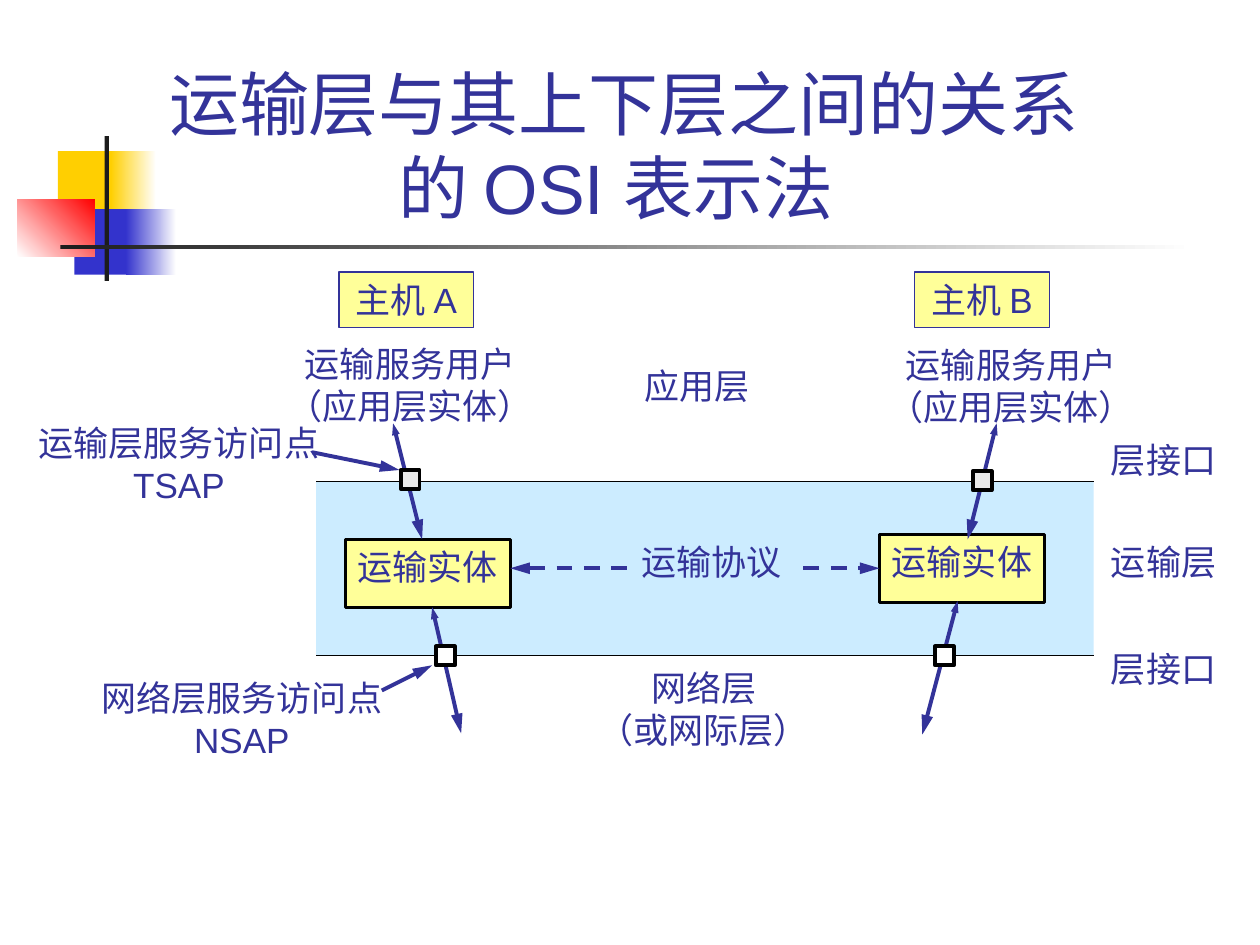
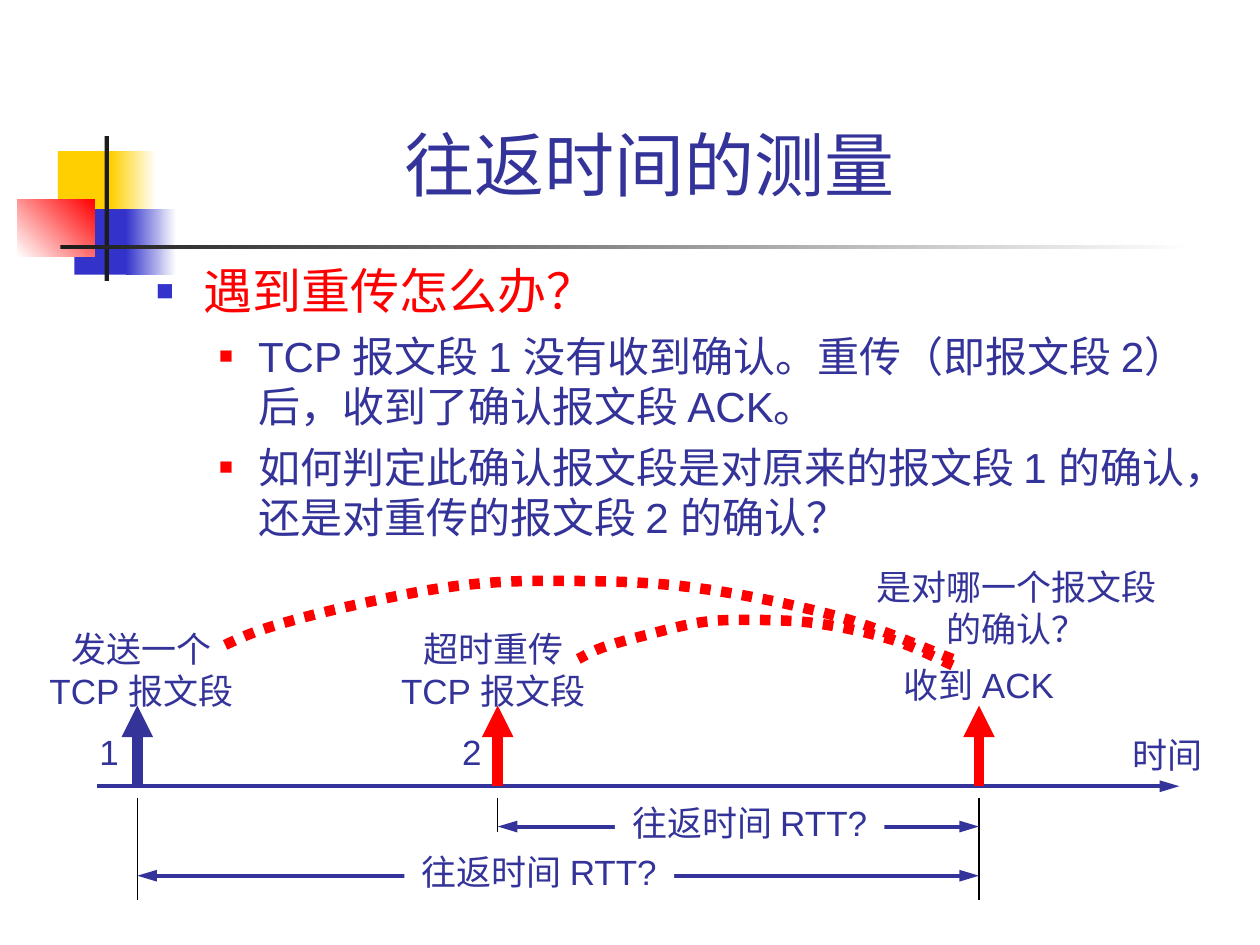
from dataclasses import dataclass
from typing import Optional

from lxml.etree import SubElement
from pptx import Presentation
from pptx.dml.color import RGBColor
from pptx.enum.dml import MSO_LINE
from pptx.enum.shapes import MSO_CONNECTOR, MSO_SHAPE
from pptx.enum.text import MSO_ANCHOR, PP_ALIGN
from pptx.oxml.ns import qn
from pptx.util import Inches, Pt

# Shared look
FONT = "Arial"
INK = RGBColor(0x33, 0x33, 0x99)
BLUE = RGBColor(0x33, 0x33, 0xCC)
RED = RGBColor(0xFF, 0x00, 0x00)
GOLD = RGBColor(0xFF, 0xCF, 0x01)
COAL = RGBColor(0x1C, 0x1C, 0x1C)
BLACK = RGBColor(0x00, 0x00, 0x00)
WHITE = RGBColor(0xFF, 0xFF, 0xFF)
SKY = RGBColor(0xCC, 0xEC, 0xFF)
LEMON = RGBColor(0xFF, 0xFF, 0x99)
GREY = RGBColor(0xEA, 0xEA, 0xEA)

# Grid: 100 columns by 75 rows of square cells
WIDTH, HEIGHT = Inches(10), Inches(7.5)
COLS, ROWS = 100, 75

# Arrowheads as (width, length)
LONG = ("med", "lg")
SMALL = ("sm", "med")
EVEN = ("med", "med")


def col(n: float) -> int:
    return round(WIDTH * n / COLS)


def row(n: float) -> int:
    return round(HEIGHT * n / ROWS)


@dataclass(frozen=True)
class Box:
    x: float
    y: float
    w: float
    h: float
    text: str = ""
    fill: Optional[RGBColor] = None
    fade: Optional[RGBColor] = None
    angle: int = 0
    edge: Optional[RGBColor] = None
    thick: float = 0.75
    size: int = 20
    anchor: MSO_ANCHOR = MSO_ANCHOR.TOP
    wrap: bool = False


@dataclass(frozen=True)
class Line:
    x1: float
    y1: float
    x2: float
    y2: float
    color: RGBColor = INK
    thick: float = 2.25
    head: Optional[tuple] = None
    tail: Optional[tuple] = None
    dash: Optional[MSO_LINE] = None


def style(font, size: int, color: RGBColor) -> None:
    font.name = FONT
    font.size = Pt(size)
    font.color.rgb = color


def draw_box(slide, box: Box) -> None:
    area = col(box.x), row(box.y), col(box.w), row(box.h)
    if box.fill is None:
        shape = slide.shapes.add_textbox(*area)
    else:
        shape = slide.shapes.add_shape(MSO_SHAPE.RECTANGLE, *area)
        shape.shadow.inherit = False
        if box.fade is None:
            shape.fill.solid()
            shape.fill.fore_color.rgb = box.fill
        else:
            shape.fill.gradient()
            shape.fill.gradient_angle = box.angle
            for stop, color in zip(shape.fill.gradient_stops, (box.fill, box.fade)):
                stop.color.rgb = color
        if box.edge is None:
            shape.line.fill.background()
        else:
            shape.line.color.rgb = box.edge
            shape.line.width = Pt(box.thick)
    if box.text:
        frame = shape.text_frame
        frame.text = box.text
        frame.word_wrap = box.wrap
        frame.vertical_anchor = box.anchor
        if not box.wrap:  # the full width keeps each label on its line
            frame.margin_left = frame.margin_right = 0
        for para in frame.paragraphs:
            para.alignment = PP_ALIGN.CENTER
            for run in para.runs:
                style(run.font, box.size, INK)


def draw_line(slide, line: Line) -> None:
    link = slide.shapes.add_connector(
        MSO_CONNECTOR.STRAIGHT, col(line.x1), row(line.y1), col(line.x2), row(line.y2))
    link.line.color.rgb = line.color
    link.line.width = Pt(line.thick)
    if line.dash is not None:
        link.line.dash_style = line.dash
    props = link.element.spPr
    stroke = props.find(qn("a:ln"))
    for tag, tip in (("a:headEnd", line.head), ("a:tailEnd", line.tail)):
        if tip:
            SubElement(stroke, qn(tag), type="triangle", w=tip[0], len=tip[1])
    SubElement(props, qn("a:effectLst"))


def draw_note(slide, x: float, y: float, w: float, text: str,
              fill: Optional[RGBColor] = None, edge: Optional[RGBColor] = None) -> None:
    """Label whose height follows from its count of lines."""
    high = 1.1 + 3.3 * len(text.split("\n"))
    draw_box(slide, Box(x, y, w, high, text, fill, edge=edge))


def draw_curve(slide, knots: list[tuple[float, float]], steps: int = 8) -> None:
    """Dotted smooth curve through all knots (Catmull-Rom)."""
    ends = [knots[0], *knots, knots[-1]]
    points = [knots[0]]
    for a, b, c, d in zip(ends, ends[1:], ends[2:], ends[3:]):
        for step in range(1, steps + 1):
            t = step / steps
            points.append(tuple(
                (2 * q + (r - p) * t + (2 * p - 5 * q + 4 * r - s) * t ** 2
                 + (3 * q - p - 3 * r + s) * t ** 3) / 2
                for p, q, r, s in zip(a, b, c, d)))
    spots = [(col(x), row(y)) for x, y in points]
    pen = slide.shapes.build_freeform(*spots[0])
    pen.add_line_segments(spots[1:], close=False)
    curve = pen.convert_to_shape()
    curve.shadow.inherit = False
    curve.fill.background()
    curve.line.color.rgb = RED
    curve.line.width = Pt(6)
    curve.line.dash_style = MSO_LINE.ROUND_DOT


# Colour blocks and rules beside every title
MOTIF = (
    Box(4.6, 12, 4.8, 5.2, fill=GOLD),
    Box(8.8, 12, 3.6, 5.2, fill=GOLD, fade=WHITE),
    Box(5.9, 16.6, 4.6, 5.2, fill=BLUE),
    Box(10, 16.6, 4, 5.2, fill=BLUE, fade=WHITE),
    Box(1.4, 15.8, 6.1, 4.6, fill=WHITE, fade=RED, angle=45),
    Box(8.3, 10.8, 0.35, 11.5, fill=COAL),
    Box(4.8, 19.45, 90, 0.35, fill=COAL, fade=WHITE),
)


def new_slide(deck, title: Box):
    slide = deck.slides.add_slide(deck.slide_layouts[6])
    for part in (*MOTIF, title):
        draw_box(slide, part)
    return slide


def title_box(x: float, y: float, w: float, h: float, text: str) -> Box:
    return Box(x, y, w, h, text, size=40, anchor=MSO_ANCHOR.BOTTOM, wrap=True)


def layer_slide(deck) -> None:
    slide = new_slide(deck, title_box(
        12, 10.2, 75, 8.4, "运输层与其上下层之间的关系的 OSI 表示法 "))

    # Transport layer band with its two borders
    left, wide, top, low = 25.1, 61.7, 38.2, 52
    draw_box(slide, Box(left, top, wide, low - top, fill=SKY))
    for y in (top, low):
        draw_line(slide, Line(left, y, left + wide, y, BLACK, 0.75))

    # Entities and the protocol between them
    for x, y in ((27.4, 42.8), (69.8, 42.4)):
        draw_box(slide, Box(x, y, 13.1, 5.4, "运输实体", LEMON, edge=BLACK, thick=1.5))
    draw_line(slide, Line(40.5, 45.1, 69.8, 45.1, head=LONG, tail=LONG, dash=MSO_LINE.DASH))
    draw_note(slide, 49.9, 42.4, 13.1, "运输协议", SKY)

    # Calls through the access points
    for ends in ((31.2, 33.6, 33.5, 42.8), (34.3, 48.2, 36.6, 58.2),
                 (79.1, 33.6, 76.8, 42.8), (76, 47.7, 73.2, 58.3)):
        draw_line(slide, Line(*ends, head=SMALL, tail=LONG))
    for x, y, fill in ((31.8, 37.3, GREY), (34.6, 51.3, WHITE),
                       (74.2, 51.3, WHITE), (77.2, 37.4, GREY)):
        draw_box(slide, Box(x, y, 1.5, 1.5, fill=fill, edge=BLACK, thick=2.25))

    # Hosts and users
    for x, name in ((26.9, "A"), (72.6, "B")):
        draw_note(slide, x, 21.6, 10.7, f"主机 {name}", LEMON, INK)
    for x, y in ((21.8, 26.7), (69.5, 26.8)):
        draw_note(slide, x, y, 21.5, "运输服务用户\n（应用层实体）")

    # Layer names
    for y, name in ((34.3, "层接口"), (42.4, "运输层"), (50.9, "层接口")):
        draw_note(slide, 87.2, y, 10.3, name)
    draw_note(slide, 50.2, 28.4, 10.3, "应用层")
    draw_note(slide, 46.5, 52.4, 18.7, "网络层\n（或网际层）")

    # Names of the access points
    draw_note(slide, 2.1, 33, 24.2, "运输层服务访问点\nTSAP")
    draw_note(slide, 7.1, 53.2, 24.2, "网络层服务访问点\nNSAP")
    for ends in ((24.8, 35.9, 31.7, 37.3), (30.3, 54.8, 34.3, 52.8)):
        draw_line(slide, Line(*ends, tail=LONG))


@dataclass(frozen=True)
class Point:
    text: str
    level: int
    size: int
    color: RGBColor
    mark: RGBColor
    share: int
    left: float
    hang: float
    gap: int


def draw_list(slide, area: Box, points: list[Point]) -> None:
    frame = slide.shapes.add_textbox(
        col(area.x), row(area.y), col(area.w), row(area.h)).text_frame
    frame.word_wrap = True
    frame.text = "\n".join(point.text for point in points)
    for para, point in zip(frame.paragraphs, points):
        para.level = point.level
        para.space_before = Pt(point.gap)
        props = para._p.get_or_add_pPr()
        props.set("marL", str(col(point.left)))
        props.set("indent", str(-col(point.hang)))
        tint = SubElement(props, qn("a:buClr"))
        SubElement(tint, qn("a:srgbClr"), val=str(point.mark))
        SubElement(props, qn("a:buSzPct"), val=str(point.share * 1000))
        SubElement(props, qn("a:buFont"), typeface=FONT)
        SubElement(props, qn("a:buChar"), char="■")
        for run in para.runs:
            style(run.font, point.size, point.color)


def timing_slide(deck) -> None:
    slide = new_slide(deck, title_box(12.6, 7.6, 79.1, 9.2, "往返时间的测量 "))

    # Question and its two points
    draw_list(slide, Box(11.4, 20.2, 85, 24.9), [
        Point("遇到重传怎么办？", 0, 28, RED, BLUE, 60, 3.8, 3.8, 0),
        *(Point(text, 1, 24, INK, RED, 55, 8.1, 3.1, 6) for text in (
            "TCP 报文段 1 没有收到确认。重传（即报文段 2）后，收到了确认报文段 ACK。",
            "如何判定此确认报文段是对原来的报文段 1 的确认，还是对重传的报文段 2 的确认？")),
    ])

    # Time axis with its three events
    sent, again, reply, axis = 10.9, 39.5, 77.7, 62.4
    draw_line(slide, Line(7.7, axis, 93.6, axis, tail=LONG))
    draw_note(slide, 88.9, 57.7, 7.5, "时间")
    for x, color, foot in ((sent, INK, 71.4), (again, RED, 66), (reply, RED, 71.4)):
        draw_line(slide, Line(x, axis, x, 56, color, 6, tail=EVEN))
        draw_line(slide, Line(x, 63.3, x, foot, BLACK, 0.75))
    for x, text in ((2.6, "发送一个"), (30.5, "超时重传")):
        draw_note(slide, x, 49.3, 17.3, f"{text}\nTCP 报文段")
    for x, text in ((6.9, "1"), (35.7, "2")):
        draw_note(slide, x, 57.5, 3.5, text)
    draw_note(slide, 70.4, 52.2, 14.6, "收到 ACK")

    # Round trips
    for start, y, x in ((again, 65.6, 48.8), (sent, 69.5, 32.1)):
        draw_line(slide, Line(start, y, reply, y, head=LONG, tail=LONG))
        draw_note(slide, x, y - 2.5, 21.4, "往返时间 RTT?", WHITE)

    # Which segment the reply belongs to
    draw_curve(slide, [(75.6, 52.8), (70.9, 50.8), (65, 49.5), (59.7, 49.2),
                       (55.6, 49.4), (51.3, 50.4), (47.8, 51.4), (45.9, 52.3)])
    draw_curve(slide, [(75.6, 52.3), (66.4, 48.9), (54.8, 46.6), (44.3, 46.1),
                       (36.3, 46.5), (27.8, 48.1), (21, 49.9), (17.2, 51.5)])
    draw_note(slide, 68.6, 44.4, 24.2, "是对哪一个报文段\n的确认？")


def main() -> None:
    deck = Presentation()
    deck.slide_width, deck.slide_height = WIDTH, HEIGHT
    layer_slide(deck)
    timing_slide(deck)
    deck.save("out.pptx")


if __name__ == "__main__":
    main()
